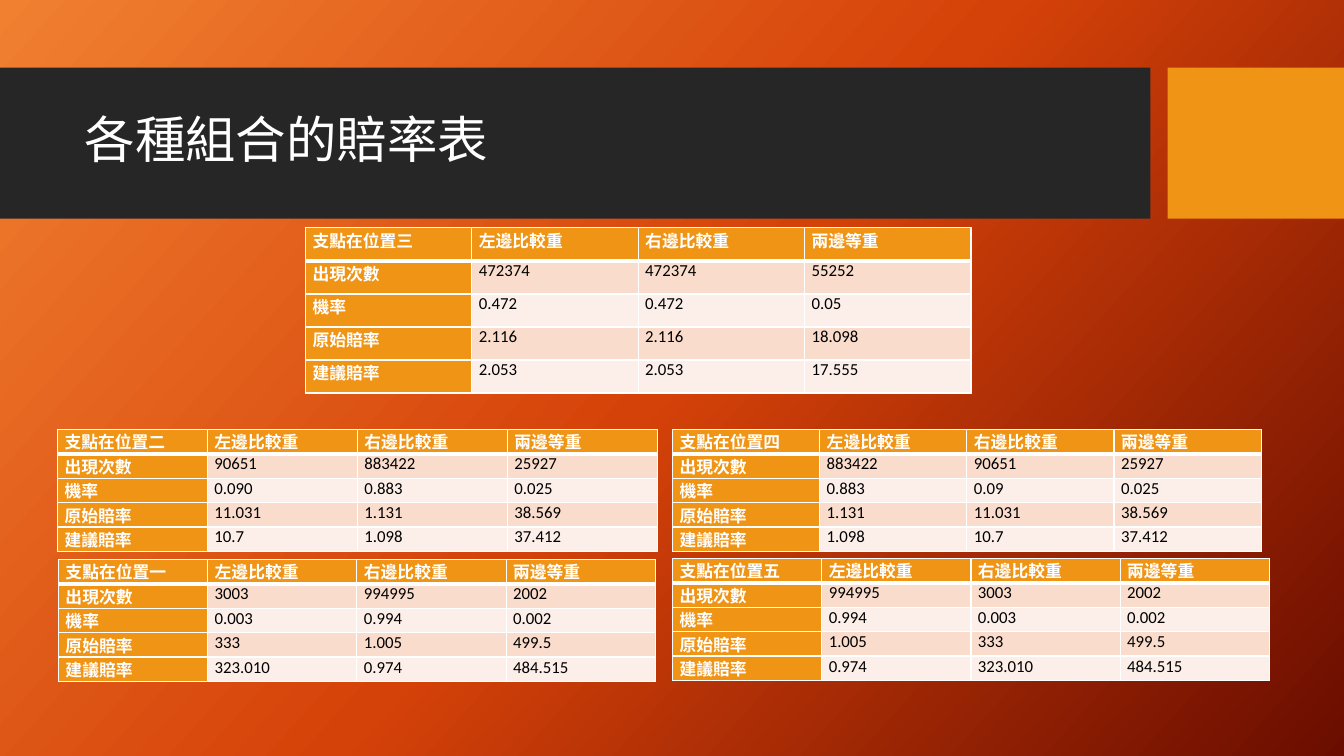
"""Build the slide of payout tables for each pivot position."""
from dataclasses import dataclass
from typing import Any

from lxml.etree import SubElement
from pptx import Presentation
from pptx.dml.color import RGBColor
from pptx.enum.shapes import MSO_SHAPE
from pptx.enum.text import MSO_ANCHOR, MSO_AUTO_SIZE, PP_ALIGN
from pptx.oxml import parse_xml
from pptx.oxml.ns import nsdecls, qn
from pptx.slide import Slide
from pptx.util import Inches, Pt


@dataclass(frozen=True)
class Theme:
    gradient: tuple = ((0, "F18031"), (50, "D54209"), (100, "6A0D00"))
    gradient_angle: int = 42
    dark: str = "262626"
    accent: str = "F09415"
    stripes: tuple = ("F9DCCC", "FCEEE8")
    light: str = "FFFFFF"
    ink: str = "000000"
    heading_font: str = "Roboto"
    number_font: str = "Calibri"
    title_size: int = 36
    table_size: int = 12
    thin: int = 1
    thick: int = 3


@dataclass(frozen=True)
class Band:
    left: float
    width: float
    color: str


@dataclass(frozen=True)
class OddsTable:
    position: str
    left: float
    top: float
    width: float
    height: float
    values: tuple


THEME = Theme()
OUTCOMES = ("左邊比較重", "右邊比較重", "兩邊等重")
MEASURES = ("出現次數", "機率", "原始賠率", "建議賠率")
BANDS = (Band(0, 11.41, THEME.dark), Band(11.58, 1.75, THEME.accent))
TABLES = (
    OddsTable("一", 0.58, 5.55, 5.92, 1.18, (
        ("3003", "994995", "2002"), ("0.003", "0.994", "0.002"),
        ("333", "1.005", "499.5"), ("323.010", "0.974", "484.515"))),
    OddsTable("二", 0.57, 4.26, 5.95, 1.18, (
        ("90651", "883422", "25927"), ("0.090", "0.883", "0.025"),
        ("11.031", "1.131", "38.569"), ("10.7", "1.098", "37.412"))),
    OddsTable("四", 6.67, 4.26, 5.84, 1.18, (
        ("883422", "90651", "25927"), ("0.883", "0.09", "0.025"),
        ("1.131", "11.031", "38.569"), ("1.098", "10.7", "37.412"))),
    OddsTable("五", 6.67, 5.54, 5.92, 1.18, (
        ("994995", "3003", "2002"), ("0.994", "0.003", "0.002"),
        ("1.005", "333", "499.5"), ("0.974", "323.010", "484.515"))),
    OddsTable("三", 3.03, 2.26, 6.6, 1.64, (
        ("472374", "472374", "55252"), ("0.472", "0.472", "0.05"),
        ("2.116", "2.116", "18.098"), ("2.053", "2.053", "17.555"))),
)


def apply_format(target: Any, values: dict) -> None:
    """Set every attribute named in a dict of format values."""
    for name, value in values.items():
        setattr(target, name, value)


def paint(fill: Any, color: str) -> None:
    """Give a fill one solid colour."""
    fill.solid()
    fill.fore_color.rgb = RGBColor.from_string(color)


def style_font(font: Any, name: str, size: int, color: str, bold: bool) -> None:
    """Set the typeface, size, weight and colour of a font."""
    apply_format(font, {"name": name, "size": Pt(size), "bold": bold})
    font.color.rgb = RGBColor.from_string(color)


def paint_background(slide: Slide) -> None:
    """Fill the background with the theme gradient."""
    fill = slide.background.fill
    fill.gradient()
    stops = "".join(
        f'<a:gs pos="{position * 1000}"><a:srgbClr val="{color}"/></a:gs>'
        for position, color in THEME.gradient)
    gradient = parse_xml(
        f'<a:gradFill {nsdecls("a")} rotWithShape="1"><a:gsLst>{stops}</a:gsLst>'
        f'<a:lin ang="{THEME.gradient_angle * 60000}" scaled="0"/></a:gradFill>')
    default = next(slide.element.iter(qn("a:gradFill")))
    default.getparent().replace(default, gradient)


def add_band(slide: Slide, band: Band) -> None:
    """Draw one header band behind the title."""
    shape = slide.shapes.add_shape(
        MSO_SHAPE.RECTANGLE, Inches(band.left), Inches(0.67),
        Inches(band.width), Inches(1.5))
    shape.shadow.inherit = False
    paint(shape.fill, band.color)
    shape.line.fill.background()
    slide.shapes.title.element.addprevious(shape.element)


def set_title(slide: Slide, text: str) -> None:
    """Place and format the title placeholder."""
    title = slide.shapes.title
    apply_format(title, {"left": Inches(0.74), "top": Inches(0.82),
                         "width": Inches(10.51), "height": Inches(1.18)})
    apply_format(title.text_frame, {
        "text": text, "word_wrap": True, "auto_size": MSO_AUTO_SIZE.NONE,
        "vertical_anchor": MSO_ANCHOR.MIDDLE})
    paragraph = title.text_frame.paragraphs[0]
    apply_format(paragraph, {"alignment": PP_ALIGN.LEFT, "line_spacing": 0.9})
    style_font(paragraph.runs[0].font, THEME.heading_font, THEME.title_size,
               THEME.light, False)


def add_borders(properties: Any, row: int) -> None:
    """Draw white cell borders, thicker below the header row."""
    widths = {"L": THEME.thin, "R": THEME.thin,
              "T": THEME.thick if row == 1 else THEME.thin,
              "B": THEME.thick if row == 0 else THEME.thin}
    for index, (side, width) in enumerate(widths.items()):
        line = SubElement(properties, qn(f"a:ln{side}"), w=str(Pt(width)))
        solid = SubElement(line, qn("a:solidFill"))
        SubElement(solid, qn("a:srgbClr"), val=THEME.light)
        properties.insert(index, line)


def fill_cell(cell: Any, text: str, row: int, column: int) -> None:
    """Write and colour one table cell."""
    heading = row == 0 or column == 0
    apply_format(cell, {
        "text": text, "vertical_anchor": MSO_ANCHOR.TOP,
        "margin_left": Inches(0.07), "margin_right": Inches(0.07),
        "margin_top": 0, "margin_bottom": 0})
    paint(cell.fill, THEME.accent if heading else THEME.stripes[(row - 1) % 2])
    style_font(cell.text_frame.paragraphs[0].runs[0].font,
               THEME.heading_font if heading else THEME.number_font,
               THEME.table_size, THEME.light if heading else THEME.ink, heading)


def add_odds_table(slide: Slide, odds: OddsTable) -> None:
    """Add the table for one pivot position."""
    rows = [(f"支點在位置{odds.position}", *OUTCOMES)]
    rows += [(measure, *values) for measure, values in zip(MEASURES, odds.values)]
    frame = slide.shapes.add_table(
        len(rows), len(rows[0]), Inches(odds.left), Inches(odds.top),
        Inches(odds.width), Inches(odds.height))
    for table_row in frame.table.rows:
        table_row.height = Inches(odds.height / len(rows))
    for row, texts in enumerate(rows):
        for column, text in enumerate(texts):
            fill_cell(frame.table.cell(row, column), text, row, column)
    for index, properties in enumerate(frame.element.iter(qn("a:tcPr"))):
        add_borders(properties, index // len(rows[0]))


def main() -> None:
    """Build and save the presentation."""
    presentation = Presentation()
    apply_format(presentation, {"slide_width": Inches(13.33),
                                "slide_height": Inches(7.5)})
    slide = presentation.slides.add_slide(presentation.slide_layouts[5])
    paint_background(slide)
    for band in BANDS:
        add_band(slide, band)
    set_title(slide, "各種組合的賠率表")
    for odds in TABLES:
        add_odds_table(slide, odds)
    presentation.save("out.pptx")


main()
